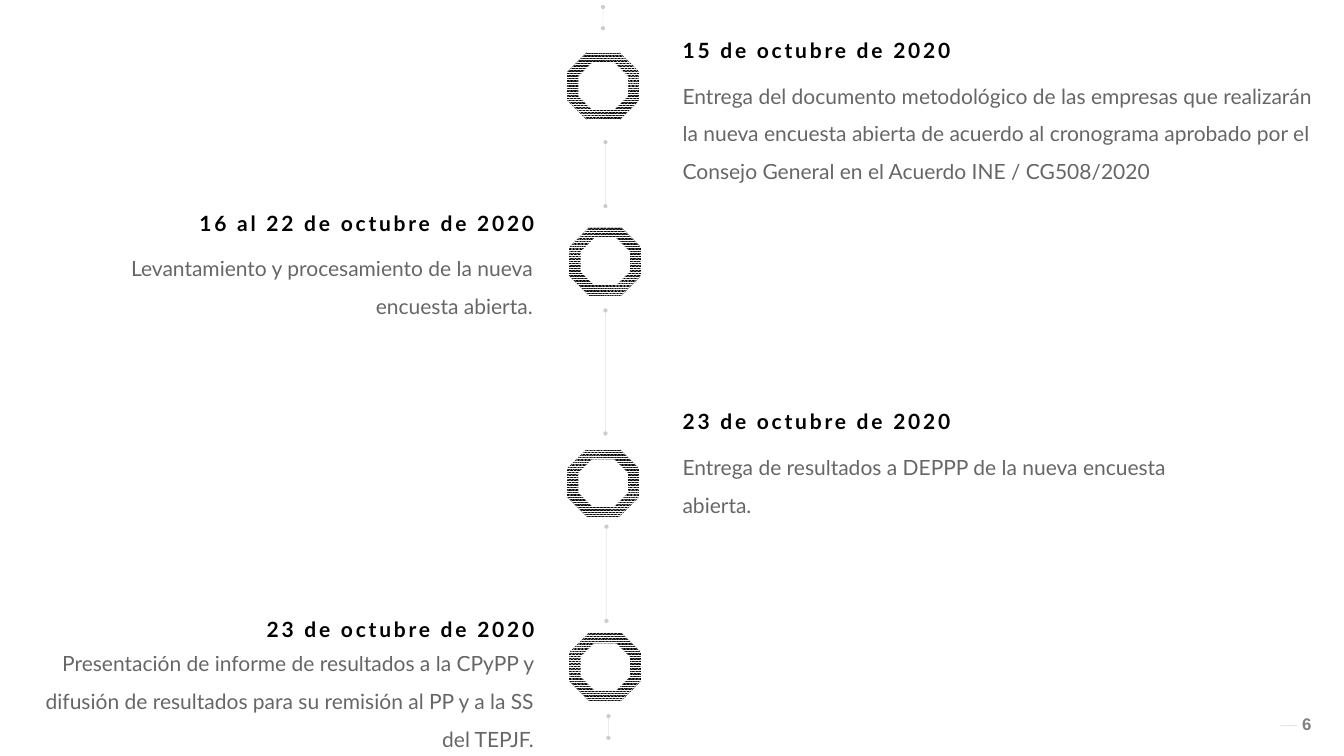
"""Build a vertical timeline slide of the October 2020 survey schedule."""
from pptx import Presentation
from pptx.dml.color import RGBColor
from pptx.enum.dml import MSO_PATTERN
from pptx.enum.shapes import MSO_CONNECTOR, MSO_SHAPE
from pptx.enum.text import MSO_ANCHOR, MSO_AUTO_SIZE, PP_ALIGN
from pptx.oxml.ns import qn
from pptx.util import Inches, Pt
from lxml.etree import SubElement

BLACK = RGBColor(0x00, 0x00, 0x00)
WHITE = RGBColor(0xFF, 0xFF, 0xFF)
DARK_GRAY = RGBColor(0x40, 0x40, 0x40)
GRAY = RGBColor(0x80, 0x80, 0x80)

RING_WIDTH, RING_HEIGHT = 1.43, 1.36
HOLE_WIDTH, HOLE_HEIGHT = 0.98, 0.93

LINKS = [
    (11.96, 0.14, 0.56),
    (12.01, 2.82, 4.09),
    (12.01, 6.16, 8.6),
    (12.03, 10.45, 12.32),
    (12.07, 14.21, 14.64),
]

RINGS = [(11.25, 1.03), (11.29, 4.51), (11.25, 8.9), (11.29, 12.55)]

MILESTONES = [
    ("15 de octubre de 2020", (13.54, 0.85, 10.37, 0.41),
     "Entrega del documento metodológico de las empresas que realizarán la nueva "
     "encuesta abierta de acuerdo al cronograma aprobado por el Consejo General en "
     "el Acuerdo INE / CG508/2020", (13.54, 1.4, 12.85, 2.27), PP_ALIGN.LEFT),
    ("16 al 22 de octubre de 2020", (2.35, 4.27, 8.26, 0.41),
     "Levantamiento y procesamiento de la nueva encuesta abierta.",
     (2.35, 4.82, 8.42, 1.42), PP_ALIGN.RIGHT),
    ("23 de octubre de 2020", (13.54, 8.21, 10.37, 0.41),
     "Entrega de resultados a DEPPP de la nueva encuesta abierta.",
     (13.54, 8.77, 10.37, 1.51), PP_ALIGN.LEFT),
    ("23 de octubre de 2020", (2.35, 12.32, 8.26, 0.41),
     "Presentación de informe de resultados a la CPyPP y difusión de resultados "
     "para su remisión al PP y a la SS del TEPJF.",
     (0.6, 12.66, 10.19, 2.27), PP_ALIGN.RIGHT),
]


def set_opacity(fill_parent, percent):
    """Make the solid colour under an element partly transparent."""
    color = fill_parent.find(qn("a:solidFill")).find(qn("a:srgbClr"))
    SubElement(color, qn("a:alpha")).set("val", str(percent * 1000))


def add_line(shapes, start, end, color, width, dotted_ends=False):
    """Draw a faint line, optionally with round dots at both ends."""
    line = shapes.add_connector(MSO_CONNECTOR.STRAIGHT, *map(Inches, start + end))
    line.line.color.rgb = color
    line.line.width = Pt(width)
    properties = line._element.spPr
    outline = properties.find(qn("a:ln"))
    set_opacity(outline, 20)
    if dotted_ends:
        for tag in ("a:headEnd", "a:tailEnd"):
            SubElement(outline, qn(tag)).set("type", "oval")
    SubElement(properties, qn("a:effectLst"))


def add_octagon(shapes, left, top, width, height):
    """Add an octagon without outline or shadow."""
    octagon = shapes.add_shape(
        MSO_SHAPE.OCTAGON, *map(Inches, (left, top, width, height)))
    octagon.shadow.inherit = False
    octagon.line.fill.background()
    return octagon


def add_ring(shapes, left, top):
    """Add a patterned octagon with a white centre."""
    group = shapes.add_group_shape().shapes
    rim = add_octagon(group, left, top, RING_WIDTH, RING_HEIGHT)
    rim.fill.patterned()
    rim.fill.pattern = MSO_PATTERN.PERCENT_70
    rim.fill.fore_color.rgb = WHITE
    rim.fill.back_color.rgb = BLACK
    hole = add_octagon(group, left + (RING_WIDTH - HOLE_WIDTH) / 2,
                       top + (RING_HEIGHT - HOLE_HEIGHT) / 2,
                       HOLE_WIDTH, HOLE_HEIGHT)
    hole.fill.solid()
    hole.fill.fore_color.rgb = WHITE


def add_text(shapes, text, box, font_name, size, color, bold=False):
    """Add a wrapped text box and return its frame, paragraph and run."""
    frame = shapes.add_textbox(*map(Inches, box)).text_frame
    frame.word_wrap = True
    frame.text = text
    paragraph = frame.paragraphs[0]
    run = paragraph.runs[0]
    run.font.name = font_name
    run.font.size = Pt(size)
    run.font.bold = bold
    run.font.color.rgb = color
    return frame, paragraph, run


def add_timeline_text(shapes, text, box, align, spacing, right_inset=0, bold=False):
    """Add a Lato text without margins, aligned towards the timeline."""
    frame, paragraph, run = add_text(shapes, text, box, "Lato", 30, BLACK, bold)
    frame.margin_left = frame.margin_top = frame.margin_bottom = 0
    frame.margin_right = Inches(right_inset)
    frame.auto_size = MSO_AUTO_SIZE.SHAPE_TO_FIT_TEXT
    paragraph.alignment = align
    paragraph.line_spacing = spacing
    return run


def add_milestone(shapes, date, date_box, detail, detail_box, align):
    """Add a letterspaced date with its description below."""
    group = shapes.add_group_shape().shapes
    date_run = add_timeline_text(group, date, date_box, align, 0.8, bold=True)
    date_run._r.get_or_add_rPr().set("spc", "400")
    detail_run = add_timeline_text(group, detail, detail_box, align, 1.5, 0.2)
    set_opacity(detail_run._r.get_or_add_rPr(), 60)


def add_page_number(shapes, number):
    """Add the page number and the short dash before it."""
    add_line(shapes, (25.4, 14.4), (25.73, 14.4), DARK_GRAY, 1)
    frame, _, _ = add_text(
        shapes, number, (25.73, 14.09, 0.65, 0.54), "Arial", 24, GRAY, bold=True)
    frame.vertical_anchor = MSO_ANCHOR.MIDDLE


def main():
    """Build and save the slide."""
    presentation = Presentation()
    presentation.slide_width = Inches(26.66)
    presentation.slide_height = Inches(15)
    shapes = presentation.slides.add_slide(presentation.slide_layouts[6]).shapes
    for x, top, bottom in LINKS:
        add_line(shapes, (x, top), (x, bottom), BLACK, 0.5, dotted_ends=True)
    for ring in RINGS:
        add_ring(shapes, *ring)
    for milestone in MILESTONES:
        add_milestone(shapes, *milestone)
    add_page_number(shapes, "6")
    presentation.save("out.pptx")


if __name__ == "__main__":
    main()
